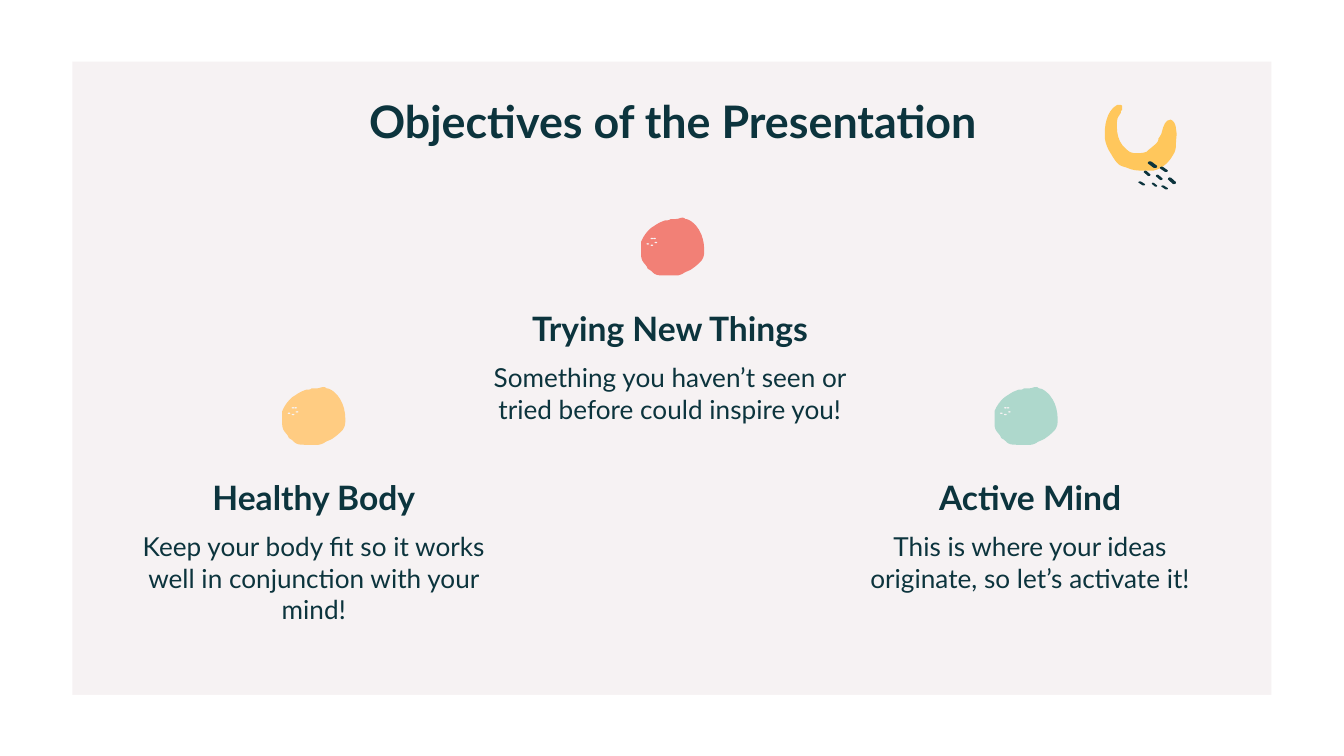
from typing import NamedTuple

from lxml.etree import SubElement
from pptx import Presentation
from pptx.dml.color import RGBColor
from pptx.enum.shapes import MSO_SHAPE
from pptx.enum.text import MSO_ANCHOR, MSO_AUTO_SIZE, PP_ALIGN
from pptx.oxml.ns import qn
from pptx.util import Inches, Pt

INK = RGBColor(0x0C, 0x34, 0x3D)
PAPER = RGBColor(0xF6, 0xF2, 0xF3)
WHITE = RGBColor(0xFF, 0xFF, 0xFF)
GOLD = RGBColor(0xFF, 0xC7, 0x5C)
SAND = RGBColor(0xFF, 0xCC, 0x82)
CORAL = RGBColor(0xF2, 0x80, 0x76)
MINT = RGBColor(0xAE, 0xD8, 0xCC)
WIDE = 10
HIGH = WIDE * 9 / 16

# Outlines in hundredths of an inch: a start, then rows of cubic curve points
BLOB = [
    (31, 0), (29, 0), (28, 1), (26, 1), (24, 1), (23, 1), (22, 1),
    (21, 2), (20, 2), (18, 2), (15, 3), (13, 4), (10, 6),
    (6, 8), (2, 13), (0, 18), (0, 20), (0, 23), (0, 26),
    (0, 28), (0, 30), (1, 32), (2, 34), (4, 35), (5, 38),
    (7, 39), (8, 40), (9, 41), (11, 43), (14, 43), (17, 43),
    (20, 43), (23, 43), (27, 43), (28, 43), (31, 42), (32, 41),
    (34, 40), (37, 39), (38, 38), (41, 36), (43, 34), (45, 32),
    (47, 29), (47, 27), (47, 24), (47, 17), (45, 11), (41, 6),
    (39, 4), (36, 1), (33, 1), (33, 1), (32, 0), (31, 0),
]
MOON = [
    (10, 0), (9, 0), (8, 1), (8, 1), (6, 2), (5, 4), (4, 5),
    (1, 10), (0, 16), (0, 21), (0, 24), (0, 26), (1, 29),
    (2, 32), (3, 34), (5, 37), (6, 39), (8, 42), (10, 44),
    (12, 46), (15, 46), (17, 47), (21, 49), (26, 49), (30, 49),
    (32, 49), (34, 49), (36, 49), (42, 48), (48, 43), (51, 37),
    (53, 34), (53, 31), (53, 28), (53, 25), (54, 22), (53, 18),
    (53, 16), (52, 12), (49, 11), (44, 11), (43, 19), (42, 22),
    (41, 23), (41, 24), (40, 25), (40, 27), (39, 28), (38, 29),
    (36, 31), (33, 33), (31, 35), (28, 36), (26, 36), (23, 36),
    (20, 36), (18, 35), (16, 33), (11, 29), (9, 23), (9, 16),
    (9, 13), (9, 11), (10, 9), (11, 8), (11, 7), (12, 6),
    (12, 5), (12, 4), (13, 4), (13, 3), (13, 2), (13, 1),
    (13, 0), (11, 0), (10, 0),
]
# Rounded slanted stroke, as shares of its box
DASH = [(0.2, 0), (0.4, 0.05), (1, 0.7), (0.95, 0.95),
        (0.75, 1), (0.6, 0.95), (0, 0.3), (0.05, 0.1)]
SPECKS = [(0.07, 0.15), (0.04, 0.19), (0.07, 0.2), (0.1, 0.18), (0.09, 0.15)]


class Box(NamedTuple):
    left: float
    top: float
    width: float
    height: float


class Goal(NamedTuple):
    head: str
    text: str
    left: float
    top: float
    spot: float
    color: RGBColor


GOALS = [
    Goal("Healthy Body", "Keep your body fit so it works well in conjunction "
         "with your mind!", 0.85, 3.45, 2.1, SAND),
    Goal("Trying New Things", "Something you haven’t seen or tried before "
         "could inspire you!", 3.5, 2.19, 4.77, CORAL),
    Goal("Active Mind", "This is where your ideas originate, so let’s "
         "activate it!", 6.18, 3.45, 7.4, MINT),
]
RAIN = [
    Box(8.54, 1.2, 0.07, 0.05), Box(8.51, 1.27, 0.05, 0.04),
    Box(8.6, 1.3, 0.05, 0.04), Box(8.57, 1.36, 0.04, 0.03),
    Box(8.64, 1.38, 0.05, 0.03), Box(8.63, 1.24, 0.06, 0.04),
    Box(8.69, 1.32, 0.06, 0.05), Box(8.47, 1.35, 0.05, 0.03),
]
FRAME = [
    Box(0, 0, WIDE, 0.46), Box(0, 5.17, WIDE, HIGH - 5.17),
    Box(0, 0, 0.54, HIGH), Box(9.46, 0, 0.54, HIGH),
]


def place(shape, box: Box) -> None:
    for name, size in box._asdict().items():
        setattr(shape, name, Inches(size))


def paint(shape, color: RGBColor) -> None:
    shape.shadow.inherit = False
    shape.fill.solid()
    shape.fill.fore_color.rgb = color
    shape.line.fill.background()


def preset(shapes, kind: MSO_SHAPE, box: Box, color: RGBColor) -> None:
    paint(shapes.add_shape(kind, *map(Inches, box)), color)


def trace(nodes: list, steps: int = 5) -> list:
    """Turn cubic curves into a run of points."""
    dots = [nodes[0]]
    for i in range(0, len(nodes) - 1, 3):
        quad = nodes[i:i + 4]
        for n in range(1, steps + 1):
            t = n / steps
            u = 1 - t
            mix = (u ** 3, 3 * u * u * t, 3 * u * t * t, t ** 3)
            dots.append(tuple(sum(m * p[k] for m, p in zip(mix, quad))
                              for k in (0, 1)))
    return dots


def outline(shapes, dots: list, box: Box, color: RGBColor) -> None:
    """Draw dots, scaled by the box size, from its corner."""
    spots = [(Inches(box.left + x * box.width), Inches(box.top + y * box.height))
             for x, y in dots]
    pen = shapes.build_freeform(*spots[0])
    pen.add_line_segments(spots[1:], close=True)
    paint(pen.convert_to_shape(), color)


def write(shape, text: str, box: Box, size: int, bold: bool, after: int = 16) -> None:
    place(shape, box)
    frame = shape.text_frame
    look = {"word_wrap": True, "auto_size": MSO_AUTO_SIZE.NONE,
            "vertical_anchor": MSO_ANCHOR.TOP}
    for side in ("left", "top", "right", "bottom"):
        look["margin_" + side] = Inches(0.1)
    para = frame.paragraphs[0]
    para.text = text
    props = para._p.get_or_add_pPr()
    props.set("marL", "0")
    props.set("indent", "0")
    SubElement(props, qn("a:buNone"))
    flow = {"alignment": PP_ALIGN.CENTER, "space_before": Pt(0),
            "space_after": Pt(after)}
    font = para.runs[0].font
    face = {"name": "Lato", "size": Pt(size), "bold": bold}
    for item, values in ((frame, look), (para, flow), (font, face)):
        for name, value in values.items():
            setattr(item, name, value)
    font.color.rgb = INK


def main() -> None:
    deck = Presentation()
    deck.slide_width, deck.slide_height = Inches(WIDE), Inches(HIGH)
    slide = deck.slides.add_slide(deck.slide_layouts.get_by_name("Comparison"))
    shapes = slide.shapes
    slide.background.fill.solid()
    slide.background.fill.fore_color.rgb = PAPER

    # White frame
    for bar in FRAME:
        preset(shapes, MSO_SHAPE.RECTANGLE, bar, WHITE)

    # Moon and rain
    icon = shapes.add_group_shape().shapes
    outline(icon, trace(MOON), Box(8.22, 0.78, 0.01, 0.01), GOLD)
    for drop in RAIN:
        outline(icon, DASH, drop, INK)

    # Title and goals
    write(shapes.title, "Objectives of the Presentation",
          Box(1.03, 0.6, 7.95, 0.6), 24, True, 0)
    bodies = [p for p in slide.placeholders if p.placeholder_format.idx in range(1, 5)]
    for goal, body in zip(GOALS, bodies):
        head = shapes.add_textbox(0, 0, 0, 0)
        write(head, goal.head, Box(goal.left, goal.top, 2.97, 0.59), 18, True)
        write(body, goal.text, Box(goal.left, goal.top + 0.4, 2.97, 0.85), 14, False)
        dot = shapes.add_group_shape().shapes
        top = goal.top - 0.57
        outline(dot, trace(BLOB), Box(goal.spot, top, 0.01, 0.01), goal.color)
        for x, y in SPECKS:
            preset(dot, MSO_SHAPE.OVAL, Box(goal.spot + x, top + y, 0.02, 0.01), PAPER)

    # Unused placeholders
    for spare in list(slide.placeholders):
        if not spare.text_frame.text:
            spare._element.getparent().remove(spare._element)
    deck.save("out.pptx")


if __name__ == "__main__":
    main()
